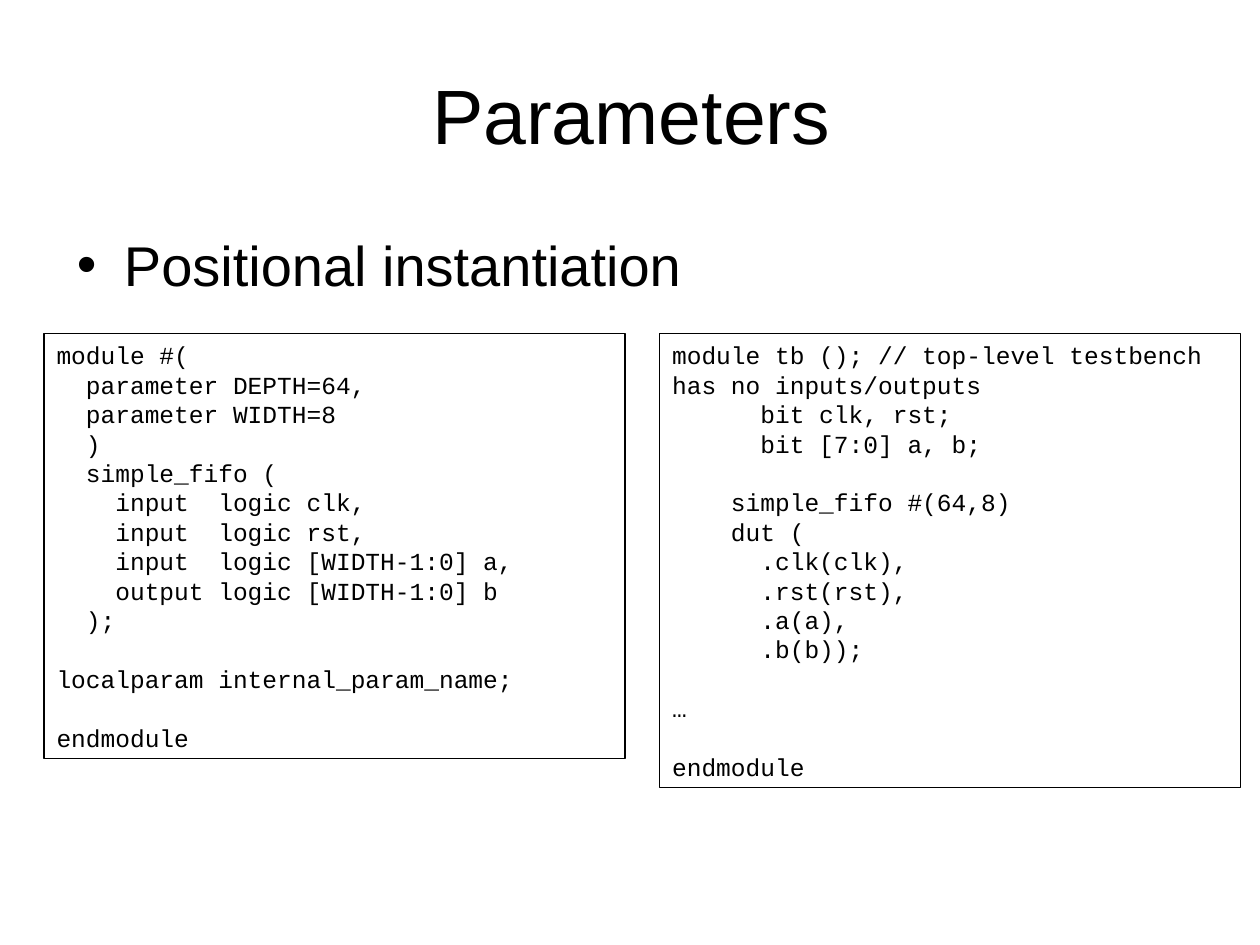
from lxml import etree
from pptx import Presentation
from pptx.dml.color import RGBColor
from pptx.enum.shapes import MSO_SHAPE
from pptx.enum.text import MSO_ANCHOR, PP_ALIGN
from pptx.oxml.ns import qn
from pptx.util import Cm, Pt

RECTANGLE = MSO_SHAPE.RECTANGLE
TOP, MIDDLE = MSO_ANCHOR.TOP, MSO_ANCHOR.MIDDLE
LEFT, CENTER = PP_ALIGN.LEFT, PP_ALIGN.CENTER

THEME = {
    "ink": RGBColor(0, 0, 0),
    "title": {"name": "Arial", "size": Pt(44)},
    "bullet": {"name": "Arial", "size": Pt(32)},
    "code": {"name": "Courier New", "size": Pt(14)},
}

FIFO_CODE = """module #(
  parameter DEPTH=64,
  parameter WIDTH=8
  )
  simple_fifo (
    input  logic clk,
    input  logic rst,
    input  logic [WIDTH-1:0] a,
    output logic [WIDTH-1:0] b
  );

localparam internal_param_name;

endmodule"""

TESTBENCH_CODE = """module tb (); // top-level testbench has no inputs/outputs
      bit clk, rst;
      bit [7:0] a, b;

    simple_fifo #(64,8)
    dut (
      .clk(clk),
      .rst(rst),
      .a(a),
      .b(b));

…

endmodule"""


def format_frame(box, anchor):
    frame = box.text_frame
    settings = {"word_wrap": True, "vertical_anchor": anchor,
                "margin_left": Cm(0.25), "margin_right": Cm(0.25),
                "margin_top": Cm(0.13), "margin_bottom": Cm(0.13)}
    for name, value in settings.items():
        setattr(frame, name, value)
    return frame


def write_line(para, text, style, align=LEFT):
    para.alignment = align
    if not text:  # an empty code line keeps the height of the code
        etree.SubElement(para._p, qn("a:endParaRPr"), sz=str(int(style["size"].pt * 100)))
        return
    span = para.add_run()
    span.text = text
    for name, value in style.items():
        setattr(span.font, name, value)
    span.font.color.rgb = THEME["ink"]


deck = Presentation()
deck.slide_width, deck.slide_height = Cm(25.4), Cm(19.05)
page = deck.slides.add_slide(deck.slide_layouts[6])

# Title
title = page.shapes.add_textbox(Cm(1.3), Cm(0.71), Cm(22.86), Cm(3.18))
write_line(format_frame(title, MIDDLE).paragraphs[0], "Parameters", THEME["title"], CENTER)

# Bullet
body = page.shapes.add_textbox(Cm(1.3), Cm(4.52), Cm(22.86), Cm(12.57))
para = format_frame(body, TOP).paragraphs[0]
properties = para._p.get_or_add_pPr()
properties.set("marL", str(Cm(0.95)))
properties.set("indent", str(-Cm(0.95)))
etree.SubElement(properties, qn("a:buFont"), typeface="Arial")
etree.SubElement(properties, qn("a:buChar"), char="•")
write_line(para, "Positional instantiation", THEME["bullet"])

# Code panels
for left, height, code in ((13.3, 9.14, TESTBENCH_CODE), (0.89, 8.56, FIFO_CODE)):
    panel = page.shapes.add_shape(RECTANGLE, Cm(left), Cm(6.73), Cm(11.71), Cm(height))
    panel.shadow.inherit = False
    panel.fill.background()
    panel.line.color.rgb = THEME["ink"]
    panel.line.width = Pt(0.75)
    frame = format_frame(panel, TOP)
    for index, line in enumerate(code.split("\n")):
        para = frame.add_paragraph() if index else frame.paragraphs[0]
        write_line(para, line, THEME["code"])

deck.save("out.pptx")
